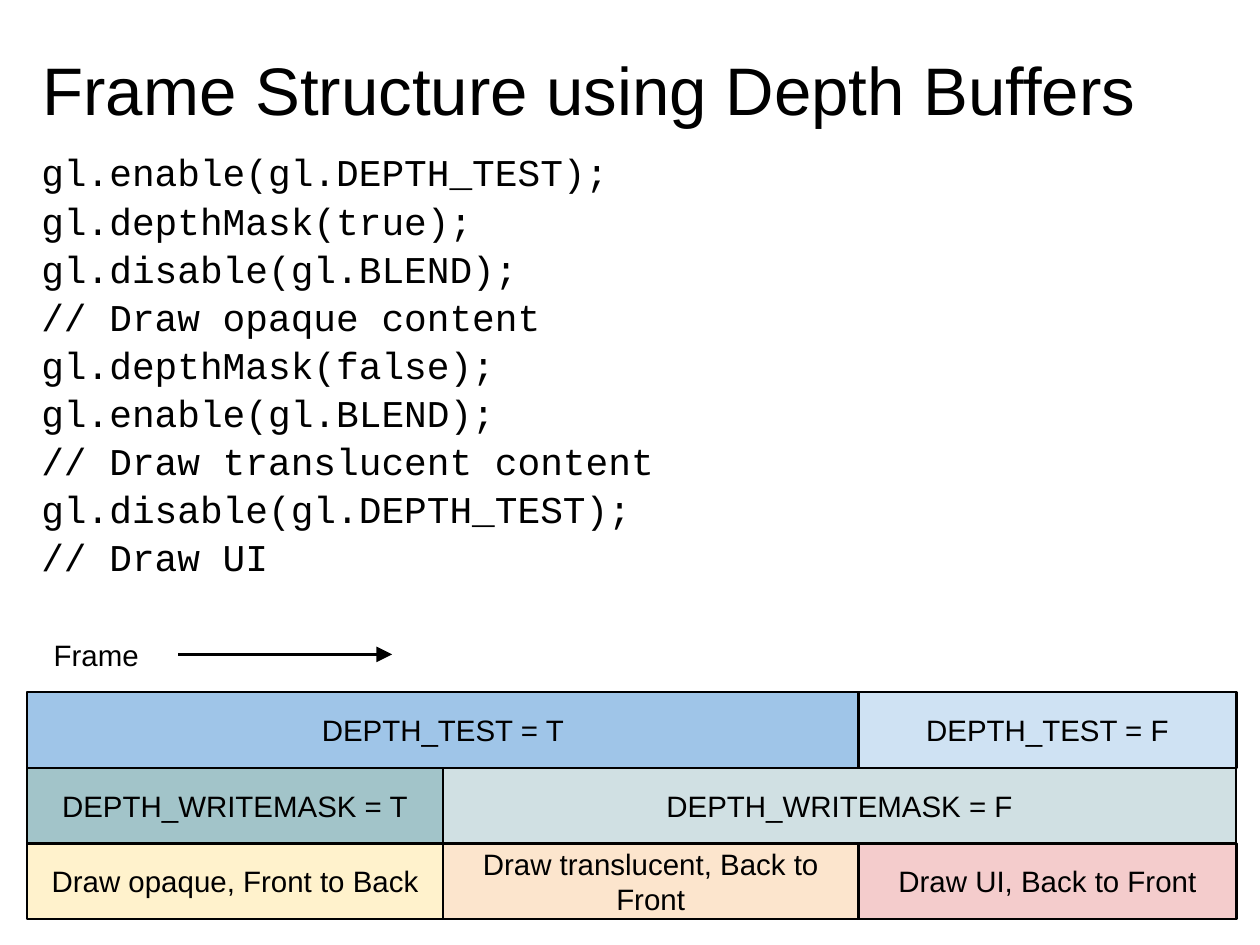
import pptx
import pptx.util
import pptx.dml.color
import pptx.enum.shapes
import pptx.enum.text
import pptx.oxml.ns
import lxml.etree

PX = 9525
THEME = {
    "sans": "Arial",
    "mono": "Courier New",
    "title_size": 42.7,
    "code_size": 24,
    "label_size": 18.7,
    "line_width": 1.5,
    "ink": "000000",
    "depth_on": "9FC5E8",
    "depth_off": "CFE2F3",
    "mask_on": "A2C4C9",
    "mask_off": "D0E0E3",
    "opaque": "FFF2CC",
    "translucent": "FCE5CD",
    "interface": "F4CCCC",
}


def color(name):
    return pptx.dml.color.RGBColor.from_string(THEME[name])


def write(shape, text, font, size, inset, align, anchor, spacing=1.0):
    frame = shape.text_frame
    frame.text = text
    frame.word_wrap = True
    frame.vertical_anchor = anchor
    frame.margin_left = frame.margin_right = inset * PX
    frame.margin_top = frame.margin_bottom = inset * PX
    for paragraph in frame.paragraphs:
        paragraph.alignment = align
        paragraph.line_spacing = spacing
        for run in paragraph.runs:
            run.font.name = THEME[font]
            run.font.size = pptx.util.Pt(THEME[size])
            run.font.color.rgb = color("ink")


ALIGN = pptx.enum.text.PP_ALIGN
ANCHOR = pptx.enum.text.MSO_ANCHOR

presentation = pptx.Presentation()
presentation.slide_width = 1067 * PX
presentation.slide_height = 800 * PX
slide = presentation.slides.add_slide(presentation.slide_layouts[6])
shapes = slide.shapes

title = shapes.add_textbox(32 * PX, 32 * PX, 1010 * PX, 104 * PX)
write(title, "Frame Structure using Depth Buffers", "sans", "title_size",
      4, ALIGN.LEFT, ANCHOR.TOP, 1.07)

CODE = """gl.enable(gl.DEPTH_TEST);
gl.depthMask(true);
gl.disable(gl.BLEND);
// Draw opaque content
gl.depthMask(false);
gl.enable(gl.BLEND);
// Draw translucent content
gl.disable(gl.DEPTH_TEST);
// Draw UI"""
code = shapes.add_textbox(31 * PX, 120 * PX, 1009 * PX, 652 * PX)
write(code, CODE, "mono", "code_size", 4, ALIGN.LEFT, ANCHOR.TOP, 1.06)

COLUMN_EDGES = [23, 375, 727, 1047]
ROWS_TOP = 586
ROW_HEIGHT = 64
STATES = [
    (0, 0, 2, "DEPTH_TEST = T", "depth_on"),
    (1, 0, 1, "DEPTH_WRITEMASK = T", "mask_on"),
    (1, 1, 3, "DEPTH_WRITEMASK = F", "mask_off"),
    (2, 0, 1, "Draw opaque, Front to Back", "opaque"),
    (2, 1, 2, "Draw translucent, Back to Front", "translucent"),
    (0, 2, 3, "DEPTH_TEST = F", "depth_off"),
    (2, 2, 3, "Draw UI, Back to Front", "interface"),
]
for row, first, last, text, fill in STATES:
    left, right = COLUMN_EDGES[first], COLUMN_EDGES[last]
    state = shapes.add_shape(
        pptx.enum.shapes.MSO_SHAPE.RECTANGLE, left * PX,
        (ROWS_TOP + row * ROW_HEIGHT) * PX, (right - left) * PX, ROW_HEIGHT * PX)
    state.shadow.inherit = False
    state.fill.solid()
    state.fill.fore_color.rgb = color(fill)
    state.line.color.rgb = color("ink")
    state.line.width = pptx.util.Pt(THEME["line_width"])
    write(state, text, "sans", "label_size", 10, ALIGN.CENTER, ANCHOR.MIDDLE)

arrow = shapes.add_connector(
    pptx.enum.shapes.MSO_CONNECTOR.STRAIGHT, 151 * PX, 554 * PX, 332 * PX, 554 * PX)
arrow.line.color.rgb = color("ink")
arrow.line.width = pptx.util.Pt(THEME["line_width"])
qualified = pptx.oxml.ns.qn
line = arrow.line._get_or_add_ln()
lxml.etree.SubElement(line, qualified("a:tailEnd"), type="triangle", w="lg", len="lg")
lxml.etree.SubElement(arrow._element.spPr, qualified("a:effectLst"))

frame_label = shapes.add_textbox(23 * PX, 522 * PX, 117 * PX, 64 * PX)
write(frame_label, "Frame", "sans", "label_size", 10, ALIGN.CENTER, ANCHOR.MIDDLE)

presentation.save("out.pptx")
